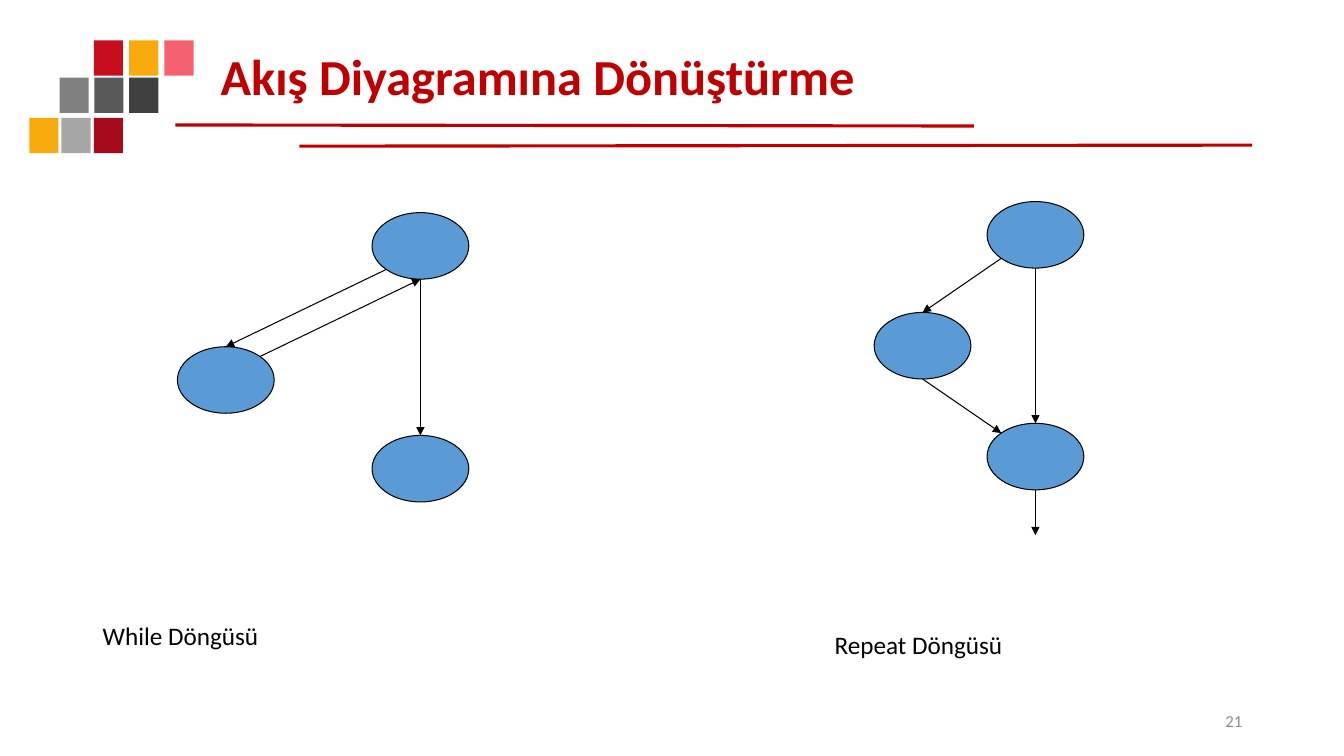
from dataclasses import dataclass
from math import sqrt

from lxml.etree import SubElement
from pptx import Presentation
from pptx.dml.color import RGBColor
from pptx.enum.shapes import MSO_CONNECTOR, MSO_SHAPE
from pptx.enum.text import MSO_ANCHOR, PP_ALIGN
from pptx.oxml.ns import qn
from pptx.util import Inches, Pt

COLORS = {
    "red": "C00000", "crimson": "C80D1F", "dark_red": "A50B1A", "pink": "F5616F",
    "amber": "F8A90C", "charcoal": "404040", "dark_gray": "595959", "gray": "808080",
    "light_gray": "A6A6A6", "number_gray": "8C8C8C", "blue": "5B9BD5", "black": "000000",
}
NODE_WIDTH, NODE_HEIGHT = 0.96, 0.66
SQUARE_WIDTH, SQUARE_HEIGHT = 0.29, 0.35
DIAGONAL = 1 / sqrt(2)
ANCHORS = {
    "top": (0, -1), "bottom": (0, 1), "bottom_left": (-DIAGONAL, DIAGONAL),
    "top_left": (-DIAGONAL, -DIAGONAL), "top_right": (DIAGONAL, -DIAGONAL),
}


@dataclass
class SquareRow:
    left: float
    top: float
    step: float
    colors: tuple[str, ...]


@dataclass
class Node:
    left: float
    top: float

    def anchor(self, side: str) -> tuple[float, float]:
        across, down = ANCHORS[side]
        return (self.left + NODE_WIDTH / 2 * (1 + across),
                self.top + NODE_HEIGHT / 2 * (1 + down))


@dataclass
class Arrow:
    source: str
    source_side: str
    target: str
    target_side: str


@dataclass
class Flowchart:
    nodes: dict[str, Node]
    arrows: tuple[Arrow, ...]


SQUARE_ROWS = (
    SquareRow(0.93, 0.4, 0.35, ("crimson", "amber", "pink")),
    SquareRow(0.59, 0.77, 0.345, ("gray", "dark_gray", "charcoal")),
    SquareRow(0.29, 1.17, 0.32, ("amber", "light_gray", "dark_red")),
)
WHILE_LOOP = Flowchart(
    {"test": Node(3.69, 2.11), "body": Node(1.76, 3.44), "exit": Node(3.69, 4.32)},
    (Arrow("test", "bottom_left", "body", "top"),
     Arrow("body", "top_right", "test", "bottom"),
     Arrow("test", "bottom", "exit", "top")),
)
REPEAT_LOOP = Flowchart(
    {"start": Node(9.79, 2), "body": Node(8.67, 3.1), "test": Node(9.79, 4.2)},
    (Arrow("start", "bottom_left", "body", "top"),
     Arrow("body", "bottom", "test", "top_left"),
     Arrow("start", "bottom", "test", "top")),
)


def color(name: str) -> RGBColor:
    return RGBColor.from_string(COLORS[name])


def add_filled_shape(slide, kind, left: float, top: float, width: float,
                     height: float, fill: str, outline: str | None = None):
    shape = slide.shapes.add_shape(
        kind, Inches(left), Inches(top), Inches(width), Inches(height))
    shape.shadow.inherit = False
    shape.fill.solid()
    shape.fill.fore_color.rgb = color(fill)
    if outline:
        shape.line.color.rgb = color(outline)
        shape.line.width = Pt(0.75)
    else:
        shape.line.fill.background()
    return shape


def add_line(slide, start: tuple[float, float], end: tuple[float, float],
             line_color: str = "black", width: float = 0.75, arrowhead: bool = True):
    connector = slide.shapes.add_connector(
        MSO_CONNECTOR.STRAIGHT, *(Inches(value) for value in (*start, *end)))
    connector.line.color.rgb = color(line_color)
    connector.line.width = Pt(width)
    if arrowhead:
        SubElement(connector.line._get_or_add_ln(), qn("a:tailEnd"), type="triangle")
    SubElement(connector._element.spPr, qn("a:effectLst"))
    return connector


def add_text(slide, text: str, left: float, top: float, width: float, height: float,
             *, size: float = 18, font_color: str = "black", bold: bool = False,
             align=PP_ALIGN.LEFT, anchor=MSO_ANCHOR.TOP, line_spacing: float = 1.0):
    box = slide.shapes.add_textbox(
        Inches(left), Inches(top), Inches(width), Inches(height))
    frame = box.text_frame
    frame.word_wrap = True
    frame.vertical_anchor = anchor
    paragraph = frame.paragraphs[0]
    paragraph.text = text
    paragraph.alignment = align
    paragraph.line_spacing = line_spacing
    paragraph.font.name = "Calibri"
    paragraph.font.size = Pt(size)
    paragraph.font.bold = bold
    paragraph.font.color.rgb = color(font_color)


def add_square_row(slide, row: SquareRow) -> None:
    for index, fill in enumerate(row.colors):
        add_filled_shape(slide, MSO_SHAPE.RECTANGLE, row.left + index * row.step,
                         row.top, SQUARE_WIDTH, SQUARE_HEIGHT, fill)


def add_flowchart(slide, chart: Flowchart) -> None:
    ellipses = {
        name: add_filled_shape(slide, MSO_SHAPE.OVAL, node.left, node.top,
                               NODE_WIDTH, NODE_HEIGHT, "blue", "black")
        for name, node in chart.nodes.items()
    }
    for arrow in chart.arrows:
        connector = add_line(slide, chart.nodes[arrow.source].anchor(arrow.source_side),
                             chart.nodes[arrow.target].anchor(arrow.target_side))
        if arrow.target_side == "top":
            connector.end_connect(ellipses[arrow.target], 0)


def main() -> None:
    presentation = Presentation()
    presentation.slide_width = Inches(13.33)
    presentation.slide_height = Inches(7.5)
    slide = presentation.slides.add_slide(presentation.slide_layouts[6])

    for row in SQUARE_ROWS:
        add_square_row(slide, row)
    for start, end in (((1.74, 1.24), (9.66, 1.25)), ((2.97, 1.45), (12.42, 1.44))):
        add_line(slide, start, end, "red", 2.25, arrowhead=False)
    add_text(slide, "Akış Diyagramına Dönüştürme", 2.09, 0.4, 10.32, 0.77, size=36,
             font_color="red", bold=True, anchor=MSO_ANCHOR.MIDDLE, line_spacing=0.9)

    for chart in (WHILE_LOOP, REPEAT_LOOP):
        add_flowchart(slide, chart)
    exit_x, exit_y = REPEAT_LOOP.nodes["test"].anchor("bottom")
    add_line(slide, (exit_x, exit_y), (exit_x, exit_y + 0.45))

    add_text(slide, "While Döngüsü", 0.92, 6.11, 3.86, 0.56)
    add_text(slide, "Repeat Döngüsü", 8.18, 6.19, 4.23, 0.56)
    add_text(slide, "21", 9.42, 6.95, 3, 0.4, size=12, font_color="number_gray",
             align=PP_ALIGN.RIGHT, anchor=MSO_ANCHOR.MIDDLE)
    presentation.save("out.pptx")


if __name__ == "__main__":
    main()
